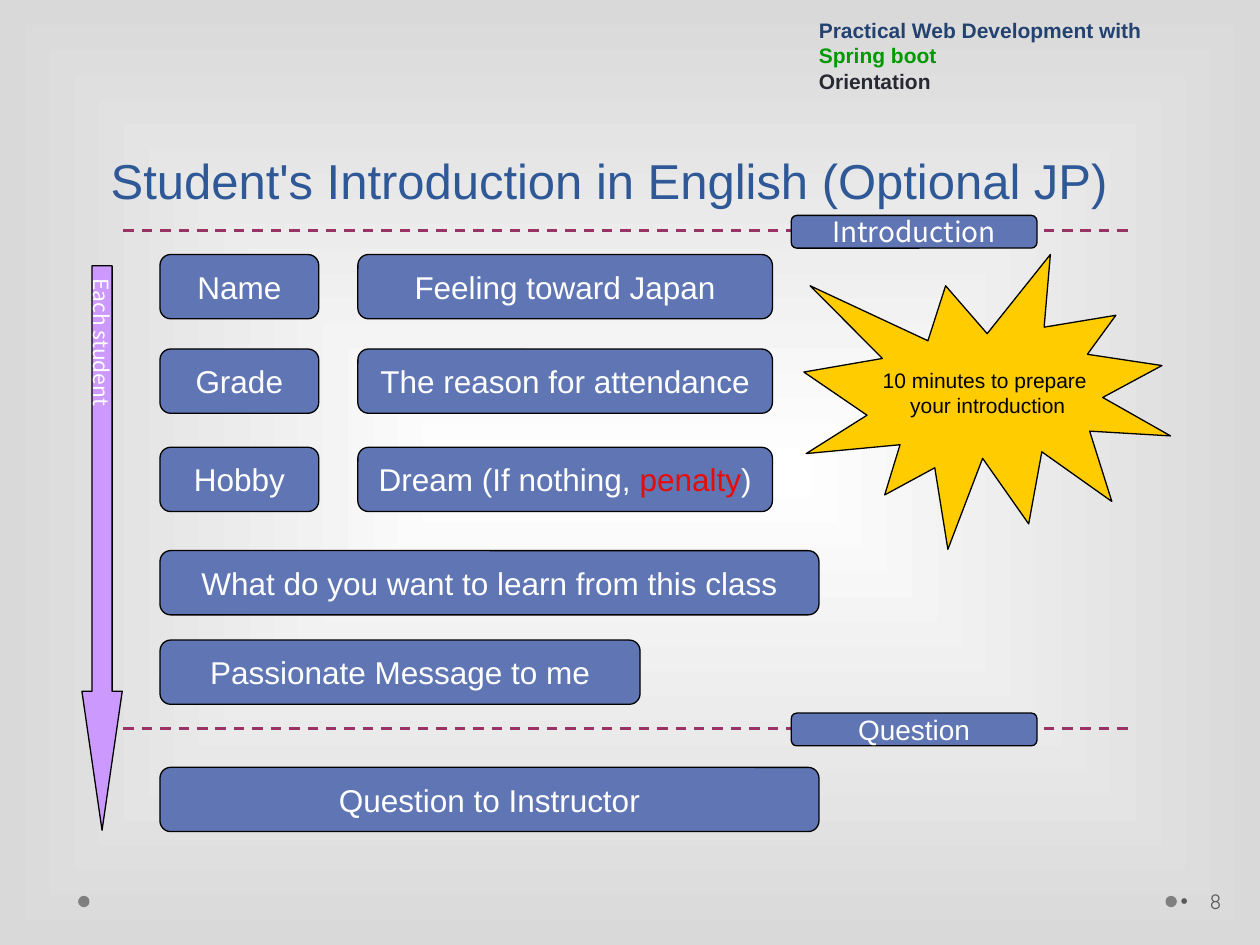
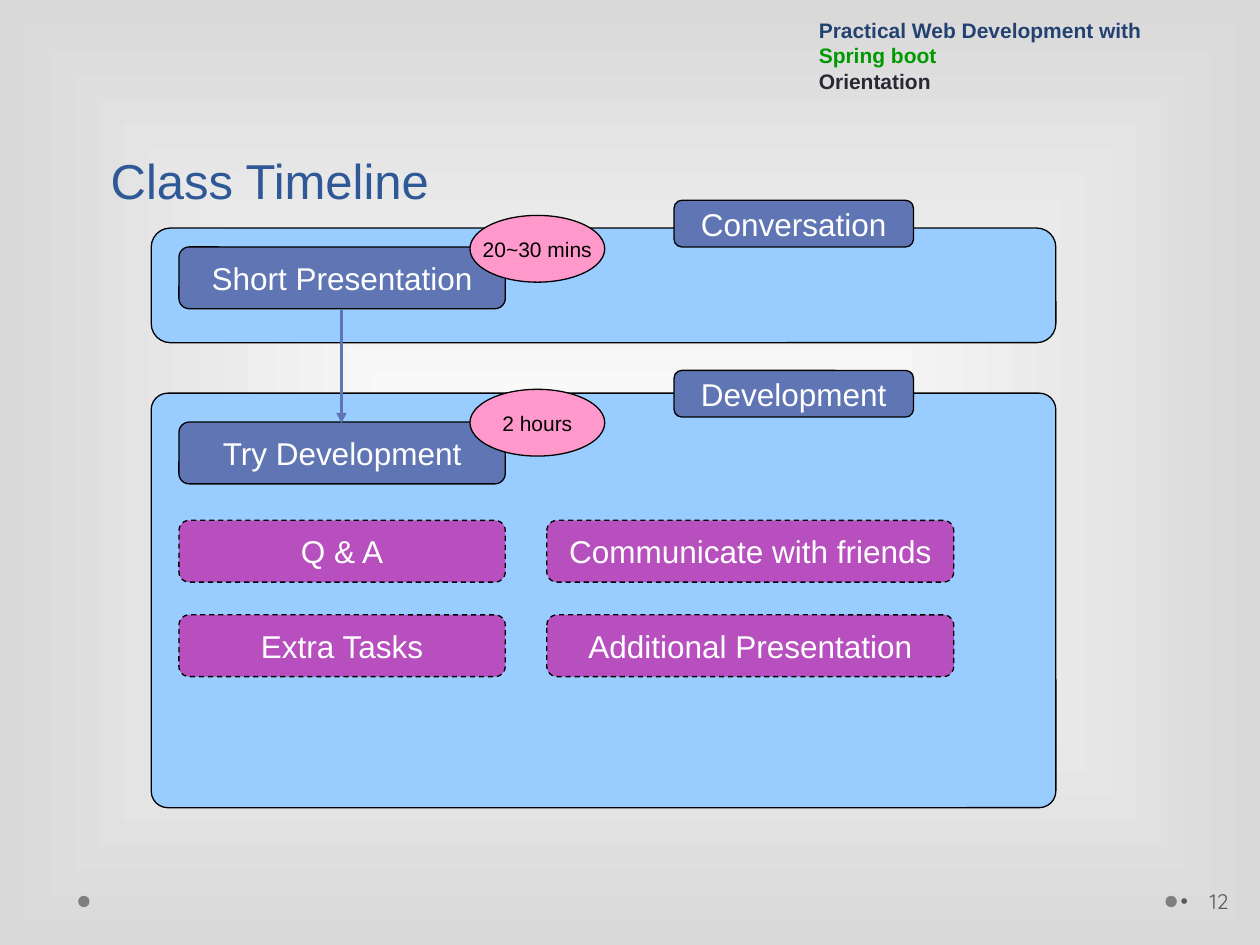
from lxml import etree
from pptx import Presentation
from pptx.dml.color import RGBColor
from pptx.enum.dml import MSO_LINE
from pptx.enum.shapes import MSO_CONNECTOR, MSO_SHAPE as SHAPE
from pptx.enum.text import MSO_ANCHOR as ANCHOR, PP_ALIGN as ALIGN
from pptx.oxml.ns import qn
from pptx.util import Inches, Pt

BLUE, PURPLE, SKY, PINK = "6076B4", "B750BE", "99CCFF", "FF99CC"
LILAC, GOLD, MAROON, RED = "CC99FF", "FFCC00", "993366", "E40D08"
NAVY, TITLE_BLUE, GREEN, INK = "234271", "2F5897", "009900", "292934"
WHITE, BLACK, GRAY, DOT_GRAY, EDGE_GRAY = "FFFFFF", "000000", "595959", "7F7F7F", "D9D9D9"
SANS, JAPANESE, ROUNDED = "Arial", "Noto Sans CJK JP", "Quicksand"


def rgb(value):
    return RGBColor.from_string(value)


def add_xml(parent, tag, **attributes):
    return etree.SubElement(parent, qn(tag), attributes)


def write(frame, text, size=18, color=WHITE, font=SANS, bold=False,
          align=ALIGN.CENTER, anchor=ANCHOR.MIDDLE, wrap=False):
    """Text is a string, or a list of paragraphs that each list (words, color) spans."""
    frame.word_wrap = wrap
    frame.vertical_anchor = anchor
    paragraphs = [[(text, color)]] if isinstance(text, str) else text
    for index, spans in enumerate(paragraphs):
        para = frame.add_paragraph() if index else frame.paragraphs[0]
        para.alignment = align
        for words, span_color in spans:
            span = para.add_run()
            span.text = words
            span.font.size = Pt(size)
            span.font.name = font
            span.font.bold = bold
            span.font.color.rgb = rgb(span_color)


def add_text(page, text, left, top, width, height, **style):
    box = page.shapes.add_textbox(Inches(left), Inches(top), Inches(width), Inches(height))
    write(box.text_frame, text, align=ALIGN.LEFT, wrap=True, **style)
    return box


def add_block(page, kind, left, top, width, height, fill, text=None,
              line=BLACK, dashed=False, adjust=(), **style):
    block = page.shapes.add_shape(kind, Inches(left), Inches(top), Inches(width), Inches(height))
    block.shadow.inherit = False
    block.fill.solid()
    block.fill.fore_color.rgb = rgb(fill)
    if line:
        block.line.color.rgb = rgb(line)
        block.line.width = Pt(0.75)
        if dashed:
            block.line.dash_style = MSO_LINE.DASH
    else:
        block.line.fill.background()
    for index, value in enumerate(adjust):
        block.adjustments[index] = value
    if text:
        write(block.text_frame, text, **style)
    return block


def add_card(page, text, left, top, width, height, fill=BLUE, **options):
    return add_block(page, SHAPE.ROUNDED_RECTANGLE, left, top, width, height, fill, text, **options)


def add_line(page, start, end, color, width, dashed=False, arrow=False):
    line = page.shapes.add_connector(MSO_CONNECTOR.STRAIGHT, *map(Inches, start + end))
    line.line.color.rgb = rgb(color)
    line.line.width = Pt(width)
    if dashed:
        line.line.dash_style = MSO_LINE.DASH
    if arrow:
        add_xml(line.line._get_or_add_ln(), "a:tailEnd", type="triangle")
    add_xml(line.element.spPr, "a:effectLst")


def paint_background(page):
    fill = page.background.fill
    fill.gradient()
    for stop, color in zip(fill.gradient_stops, (WHITE, EDGE_GRAY)):
        stop.color.rgb = rgb(color)
    for stop, position in zip(fill.gradient_stops, (0, 1)):
        stop.position = position
    gradient = page.element.find(".//" + qn("a:gradFill"))
    gradient.remove(gradient.find(qn("a:lin")))
    path = add_xml(gradient, "a:path", path="rect")
    add_xml(path, "a:fillToRect", l="50000", t="50000", r="50000", b="50000")


def add_page_number(page, number):
    box = add_text(page, str(number), 9.34, 6.95, 0.61, 0.4, size=12, color=GRAY, font=ROUNDED)
    box.text_frame.margin_left = Inches(0.03)
    box.text_frame.margin_right = Inches(0.05)
    properties = box.text_frame.paragraphs[0]._p.get_or_add_pPr()
    properties.set("marL", str(Inches(0.23)))
    properties.set("indent", str(-Inches(0.23)))
    add_xml(add_xml(properties, "a:buClr"), "a:srgbClr", val=GRAY)
    add_xml(properties, "a:buFont", typeface=SANS)
    add_xml(properties, "a:buChar", char="•")


def add_page(deck, title, number):
    page = deck.slides.add_slide(deck.slide_layouts[6])
    paint_background(page)
    for left in (9.25, 0.62):
        add_block(page, SHAPE.OVAL, left, 7.11, 0.09, 0.09, DOT_GRAY, line=None)
    add_page_number(page, number)
    heading = add_text(page, title, 0.78, -0.03, 9.18, 1.74,
                       size=28, color=TITLE_BLUE, anchor=ANCHOR.BOTTOM)
    heading.text_frame.paragraphs[0].line_spacing = Pt(58)
    course = [[("Practical Web Development with ", NAVY), ("Spring boot", GREEN)],
              [("Orientation", INK)]]
    add_text(page, course, 6.4, 0.24, 3.32, 0.55, size=12, bold=True, anchor=ANCHOR.BOTTOM)
    return page


def build_introduction(deck):
    page = add_page(deck, "Student's Introduction in English (Optional JP)", 8)
    dream = [[("Dream (If nothing, ", WHITE), ("penalty", RED), (")", WHITE)]]
    topics = [(2.02, "Name", "Feeling toward Japan"),
              (2.77, "Grade", "The reason for attendance"),
              (3.55, "Hobby", dream)]
    for top, fact, story in topics:
        add_card(page, fact, 1.27, top, 1.26, 0.51)
        add_card(page, story, 2.84, top, 3.29, 0.51)
    for text, top, width in [("What do you want to learn from this class", 4.37, 5.23),
                             ("Passionate Message to me", 5.08, 3.81),
                             ("Question to Instructor", 6.09, 5.23)]:
        add_card(page, text, 1.27, top, width, 0.51)

    notice = [[("10 minutes to prepare", BLACK)], [(" your introduction", BLACK)]]
    add_block(page, SHAPE.EXPLOSION1, 6.38, 2.02, 2.91, 2.34, GOLD, notice, size=12)

    for label, middle, font in [("Introduction", 1.83, JAPANESE), ("Question", 5.78, SANS)]:
        add_line(page, (0.98, middle), (8.96, middle), MAROON, 1.5, dashed=True)
        add_card(page, label, 6.28, middle - 0.12, 1.95, 0.26, size=16, font=font)

    arrow = add_block(page, SHAPE.DOWN_ARROW, 0.65, 2.11, 0.32, 4.48, LILAC, "Each student",
                      adjust=(0.5, 3.447), size=12, font=JAPANESE)
    frame = arrow.text_frame
    frame.margin_left = frame.margin_right = Inches(0.05)
    frame.margin_top = frame.margin_bottom = Inches(0.1)
    frame._txBody.bodyPr.set("vert", "eaVert")


def build_timeline(deck):
    page = add_page(deck, "Class Timeline", 12)
    add_card(page, None, 1.2, 3.12, 7.18, 3.29, SKY, adjust=(0.04,))
    add_card(page, None, 1.2, 1.81, 7.18, 0.91, SKY)

    stages = [("Short Presentation", 1.96, "Conversation", 1.59, "20~30 mins", 1.71),
              ("Try Development", 3.35, "Development", 2.94, "2 hours", 3.09)]
    for step, step_top, label, label_top, duration, duration_top in stages:
        add_card(page, step, 1.42, step_top, 2.59, 0.49)
        add_card(page, label, 5.35, label_top, 1.9, 0.37)
        add_block(page, SHAPE.OVAL, 3.73, duration_top, 1.07, 0.53, PINK, duration,
                  size=12, color=BLACK)
    add_line(page, (2.71, 2.46), (2.71, 3.36), BLUE, 2, arrow=True)

    activities = [("Q & A", "Communicate with friends"),
                  ("Extra Tasks", "Additional Presentation")]
    for row, texts in enumerate(activities):
        for text, left, width in zip(texts, (1.42, 4.34), (2.59, 3.23)):
            add_card(page, text, left, 4.13 + 0.75 * row, width, 0.49, PURPLE, dashed=True)


def main():
    deck = Presentation()
    deck.slide_width, deck.slide_height = Inches(10), Inches(7.5)
    build_introduction(deck)
    build_timeline(deck)
    deck.save("out.pptx")


if __name__ == "__main__":
    main()
